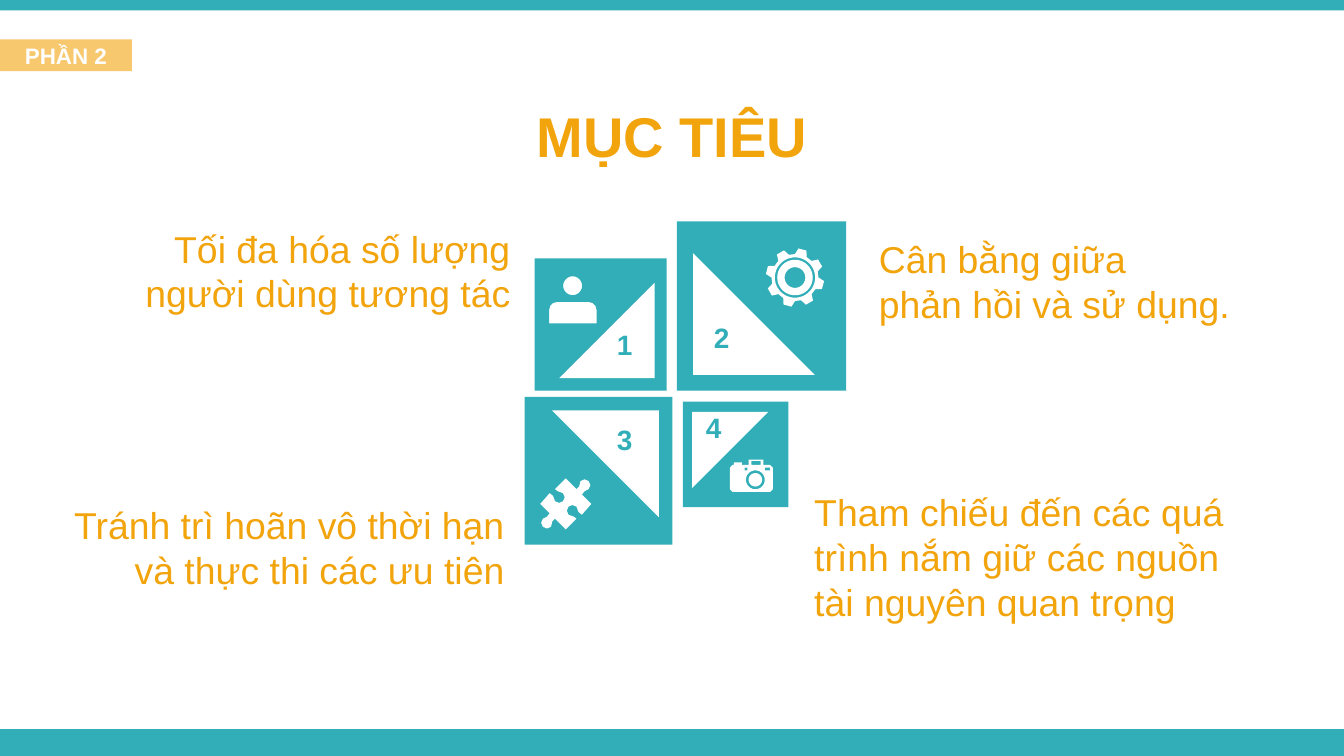
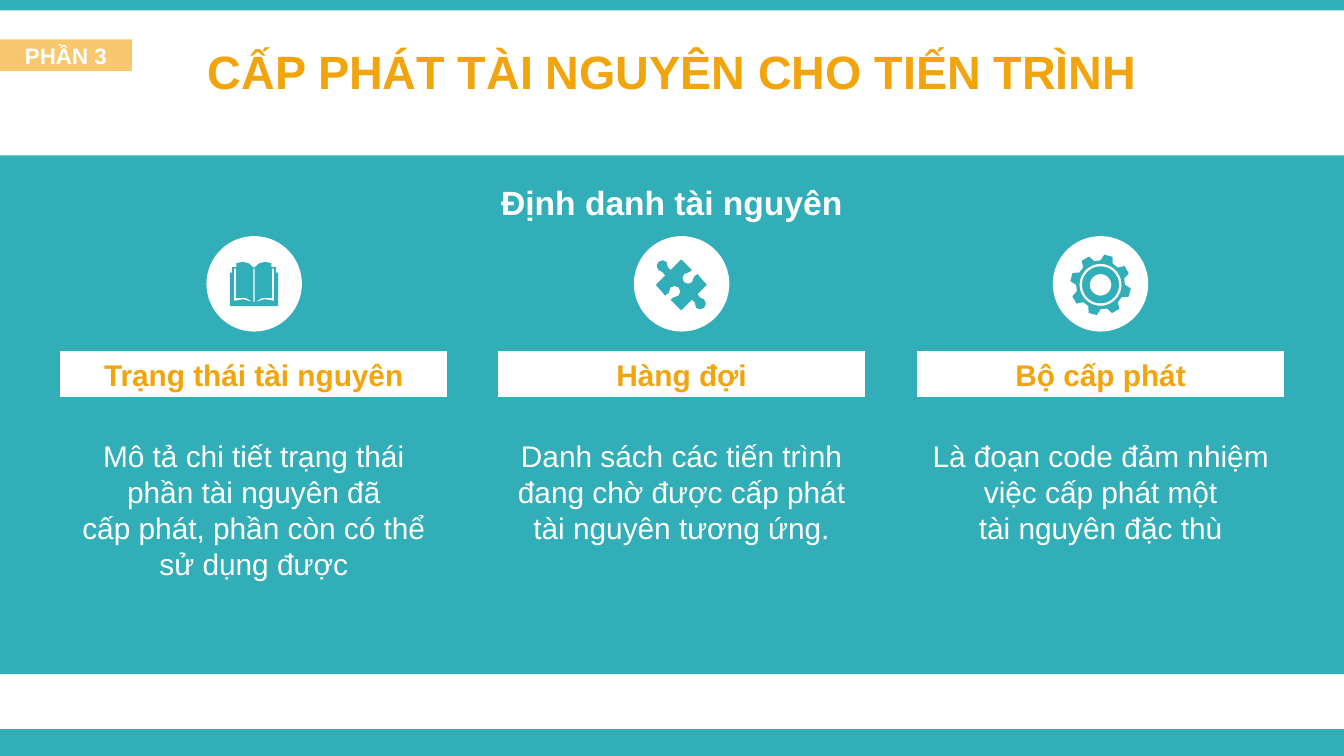
"""Build two slides on the goals and the means of resource allocation."""
from math import cos, radians, sin

from pptx import Presentation
from pptx.dml.color import RGBColor
from pptx.enum import shapes, text
from pptx.oxml.ns import qn
from pptx.util import Pt
from lxml import etree

TEAL = RGBColor(0x32, 0xAE, 0xB8)
GOLD = RGBColor(0xF2, 0xA4, 0x0D)
WHITE = RGBColor(0xFF, 0xFF, 0xFF)
FONT = "Arial"
KIND = shapes.MSO_SHAPE
ALIGN = text.PP_ALIGN
TOP = text.MSO_ANCHOR.TOP
MID = text.MSO_ANCHOR.MIDDLE


def put(slide, kind, place, fill=None, line=None, turn=0):
    spot = [Pt(n) for n in place]
    if kind is None:
        return slide.shapes.add_textbox(*spot)
    shape = slide.shapes.add_shape(kind, *spot)
    shape.shadow.inherit = False
    shape.rotation = turn
    shape.fill.solid()
    shape.fill.fore_color.rgb = fill
    if line:
        shape.line.color.rgb = line
        shape.line.width = Pt(2)
    else:
        shape.line.fill.background()
    return shape


def say(shape, lines, size, color, bold=False, align=ALIGN.CENTER, anchor=TOP):
    frame = shape.text_frame
    frame.auto_size = text.MSO_AUTO_SIZE.NONE
    frame.word_wrap = True
    frame.vertical_anchor = anchor
    for i, words in enumerate(lines):
        para = frame.add_paragraph() if i else frame.paragraphs[0]
        para.alignment = align
        run = para.add_run()
        run.text = words
        run.font.name = FONT
        run.font.size = Pt(size)
        run.font.bold = bold
        run.font.color.rgb = color


deck = Presentation()
deck.slide_width, deck.slide_height = Pt(720), Pt(405)

pages = []
for title, size, top, tag in [
    ("MỤC TIÊU", 30, 49.7, "PHẦN 2"),
    ("CẤP PHÁT TÀI NGUYÊN CHO TIẾN TRÌNH", 25, 15.1, "PHẦN 3"),
]:
    page = deck.slides.add_slide(deck.slide_layouts[5])
    pages.append(page)
    put(page, KIND.RECTANGLE, (0, 390.7, 720, 14.3), TEAL)
    put(page, KIND.RECTANGLE, (0, 0, 720, 5.6), TEAL)
    head = page.shapes.title
    head.left, head.top, head.width, head.height = Pt(0), Pt(top), Pt(720), Pt(45.4)
    say(head, [title], size, GOLD, True, anchor=MID)
    label = put(page, KIND.RECTANGLE, (0, 21.1, 70.7, 17), GOLD)
    tint = next(label._element.spPr.iter(qn("a:srgbClr")))
    etree.SubElement(tint, qn("a:alpha")).set("val", "60000")
    say(label, [tag], 12, WHITE, True, anchor=MID)
goals, parts = pages

for num, left, top, side, inner, turn, digit in [
    ("1", 286.4, 138.5, 70.8, (299.7, 151.5, 51), 270, (318.8, 171.7)),
    ("2", 362.7, 118.6, 90.7, (371.3, 135.6, 65.3), 0, (370.8, 168.3)),
    ("3", 281.1, 212.6, 79.2, (295.7, 219.8, 57.2), 180, (318.8, 222.8)),
    ("4", 365.8, 215.2, 56.5, (370.8, 220.6, 40.8), 90, (366.5, 216.6)),
]:
    put(goals, KIND.RECTANGLE, (left, top, side, side), TEAL)
    x, y, leg = inner
    put(goals, KIND.RIGHT_TRIANGLE, (x, y, leg, leg), WHITE, turn=turn)
    say(put(goals, None, (*digit, 31.7, 25.2)), [num], 15, TEAL, True)

put(goals, KIND.ROUND_2_SAME_RECTANGLE, (293.2, 160.8, 27.4, 13.5), WHITE, TEAL).adjustments[0] = 0.37
put(goals, KIND.OVAL, (300.7, 147, 12.2, 12.2), WHITE, TEAL)

for place, align, lines in [
    ((18.7, 117.4, 262, 55.7), ALIGN.RIGHT, ["Tối đa hóa số lượng", "người dùng tương tác"]),
    ((20.2, 265.7, 257.4, 55.7), ALIGN.RIGHT, ["Tránh trì hoãn vô thời hạn và thực thi các ưu tiên"]),
    ((463.7, 122.9, 214, 55.7), ALIGN.LEFT, ["Cân bằng giữa", "phản hồi và sử dụng."]),
    ((429.1, 258.5, 237, 80), ALIGN.LEFT, ["Tham chiếu đến các quá trình nắm giữ các nguồn tài nguyên quan trọng"]),
]:
    say(put(goals, None, place), lines, 20, GOLD, align=align)

put(parts, KIND.RECTANGLE, (0, 83.3, 720, 277.9), TEAL)
say(put(parts, None, (0, 85.8, 720, 45.4)), ["Định danh tài nguyên"], 18, WHITE, True, anchor=MID)
for left, width, disc, name, lines in [
    (31.2, 209.5, 110.6, "Trạng thái tài nguyên",
     ["Mô tả chi tiết trạng thái", "phần tài nguyên đã", "cấp phát, phần còn có thể sử dụng được"]),
    (265.8, 198.7, 339.6, "Hàng đợi",
     ["Danh sách các tiến trình đang chờ được cấp phát tài nguyên tương ứng."]),
    (490.3, 198.7, 564, "Bộ cấp phát",
     ["Là đoạn code đảm nhiệm việc cấp phát một", "tài nguyên đặc thù"]),
]:
    put(parts, KIND.OVAL, (disc, 126.5, 51.1, 51.1), WHITE)
    bar = put(parts, KIND.RECTANGLE, (left, 187.2, width, 26.6), WHITE, TEAL)
    say(bar, [name], 16, GOLD, True, anchor=MID)
    say(put(parts, None, (left, 231.1, width, 85)), lines, 16, WHITE)

ring = [(cos(radians(a)), sin(radians(a))) for a in range(0, 360, 6)]
teeth = [
    (r * cos(radians(mid + a)), r * sin(radians(mid + a)))
    for mid in range(15, 375, 45)
    for a, r in [(-15, 17.5), (-8, 21.8), (8, 21.8), (15, 17.5)]
]
gear = [teeth] + [[(r * x, r * y) for x, y in ring] for r in (15, 13.2, 7.7)]

half = [
    (17, -17), (18.3, -14), (17, -11), (14, -9.5), (12, -7), (19, 0), (12, 8),
    (9.5, 6), (8, 2), (5, 0.8), (2, 2), (0.8, 5), (2, 8), (6, 9.5), (8, 11),
    (0, 19), (-8, 11), (-10, 13), (-11, 17), (-14, 18.3),
]
piece = [half + [(-x, -y) for x, y in half]]
flip = [[(-x, y) for x, y in piece[0]]]

camera = [[
    (-16, -6), (-14, -8), (-13, -8), (-13, -10), (-7, -10), (-7, -8), (-2, -8), (-2, -12),
    (9, -12), (9, -8), (14, -8), (16, -6), (16, 10), (14, 12), (-14, 12), (-16, 10),
]]
camera += [[(3 + r * x, 3 + r * y) for x, y in ring] for r in (7, 5)]
for l, t, r, b in [(0, -11, 7, -8), (-5, -6, -3, -4), (10, -6, 14, -4)]:
    camera.append([(l, t), (r, t), (r, b), (l, b)])

cover = [
    (0, -12), (4, -15.5), (8.5, -16.5), (13, -15.5), (13, -12.5),
    (16.5, -12.5), (16.5, -8.5), (18, -8.5), (18, 16.5),
]
edge = [(13.3, -11.5), (15, -11.5), (15, 12.5), (8, 11.3), (1, 13.5), (6, 10.3), (13.5, 10.5)]
spine = [(-0.5, -11.5), (0.5, -11.5), (0.5, 13.5), (-0.5, 13.5)]
book = [cover + [(-x, y) for x, y in reversed(cover)], edge, [(-x, y) for x, y in edge], spine]

for page, icon, x, y, zoom, color in [
    (goals, gear, 425.9, 148.7, 1, WHITE),
    (goals, piece, 303.1, 270, 1, WHITE),
    (goals, camera, 402.5, 254.9, 1, WHITE),
    (parts, book, 136.1, 152.2, 1, TEAL),
    (parts, flip, 365, 152.6, 1, TEAL),
    (parts, gear, 589.6, 152.6, 1.04, TEAL),
]:
    loops = [[(72 * zoom * a, 72 * zoom * b) for a, b in loop] for loop in icon]
    pen = page.shapes.build_freeform(*loops[0][0], scale=127)
    pen.add_line_segments(loops[0][1:])
    for loop in loops[1:]:
        pen.move_to(*loop[0])
        pen.add_line_segments(loop[1:])
    shape = pen.convert_to_shape(Pt(x), Pt(y))
    shape.shadow.inherit = False
    shape.fill.solid()
    shape.fill.fore_color.rgb = color
    shape.line.fill.background()

deck.save("out.pptx")
